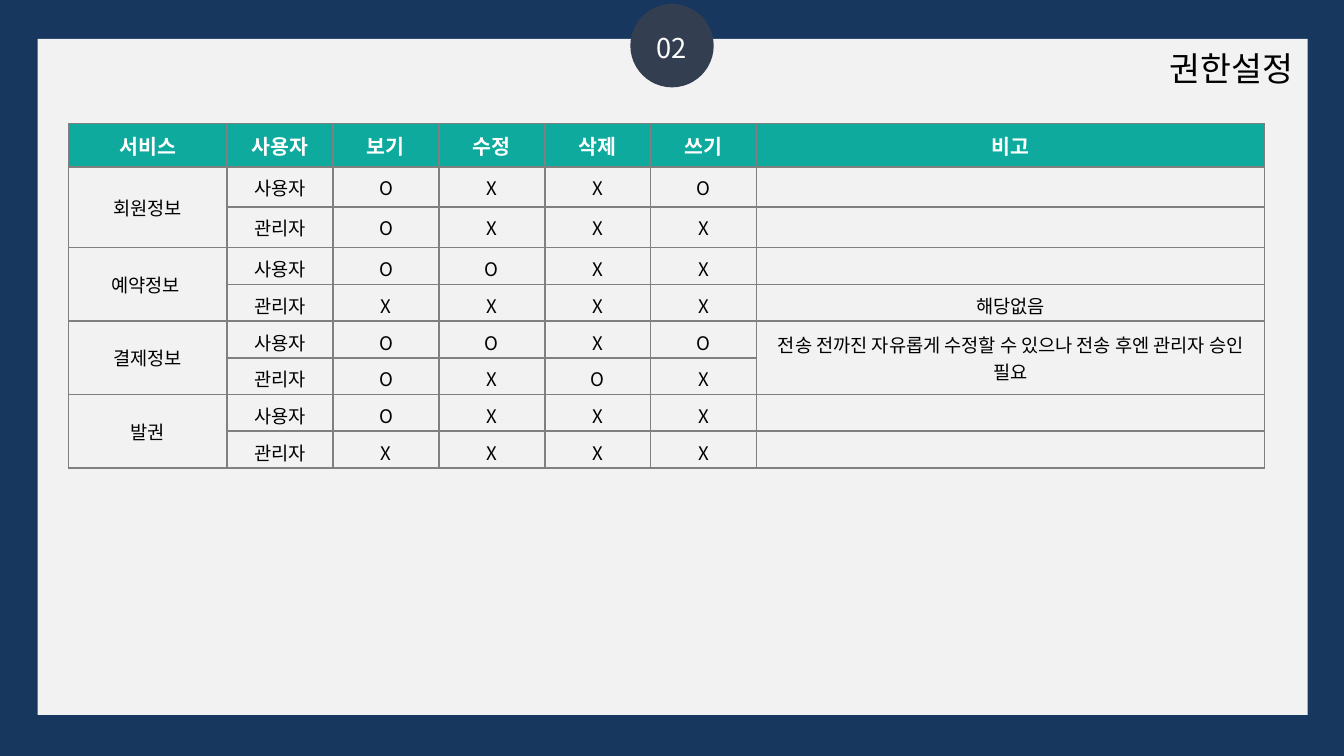
import pptx
import pptx.util
import pptx.dml.color
import pptx.enum.shapes
import pptx.enum.text
import pptx.oxml.ns
from lxml import etree

Inches, Pt = pptx.util.Inches, pptx.util.Pt
RGB = pptx.dml.color.RGBColor.from_string
ALIGN, ANCHOR = pptx.enum.text.PP_ALIGN, pptx.enum.text.MSO_ANCHOR
SHAPE = pptx.enum.shapes.MSO_SHAPE
qn = pptx.oxml.ns.qn

THEME = {
    "font": "Noto Sans CJK KR",
    "navy": "17375E", "panel": "F2F2F2", "badge": "333F50",
    "teal": "0EAA9D", "grid": "808080", "white": "FFFFFF", "black": "000000",
    "title": 18, "number": 14.6, "header": 11, "body": 10,
}


def style_text(tf, size, color, align, bold=False):
    """Format every paragraph, including the height of empty ones."""
    for p in tf.paragraphs:
        p.alignment = align
        for r in p.runs:
            r.font.name = THEME["font"]
            r.font.size = Pt(THEME[size])
            r.font.bold = bold
            r.font.color.rgb = RGB(THEME[color])
            ea = etree.SubElement(r.font._element, qn("a:ea"))
            ea.set("typeface", THEME["font"])
        if not p.runs:
            end = etree.SubElement(p._p, qn("a:endParaRPr"))
            end.set("sz", str(THEME[size] * 100))


def add_border(cell):
    """Draw a thin line on all four sides of a cell."""
    tcPr = cell._tc.get_or_add_tcPr()
    for i, side in enumerate(("a:lnL", "a:lnR", "a:lnT", "a:lnB")):
        ln = etree.Element(qn(side), w=str(Pt(1)))
        fill = etree.SubElement(ln, qn("a:solidFill"))
        etree.SubElement(fill, qn("a:srgbClr"), val=THEME["grid"])
        tcPr.insert(i, ln)


# Widescreen slide, 16:9
prs = pptx.Presentation()
prs.slide_width = Inches(10)
prs.slide_height = prs.slide_width * 9 // 16
s = prs.slides.add_slide(prs.slide_layouts[5])
s.background.fill.solid()
s.background.fill.fore_color.rgb = RGB(THEME["navy"])

# Panel and number badge
for kind, color, box in (
    (SHAPE.RECTANGLE, "panel", (0.28, 0.29, 9.45, 5.03)),
    (SHAPE.OVAL, "badge", (4.69, 0.03, 0.62, 0.62)),
):
    sp = s.shapes.add_shape(kind, *map(Inches, box))
    sp.shadow.inherit = False
    sp.fill.solid()
    sp.fill.fore_color.rgb = RGB(THEME[color])
    sp.line.fill.background()

# Section number
sp = s.shapes.add_textbox(*map(Inches, (4.64, 0.18, 0.72, 0.35)))
tf = sp.text_frame
tf.word_wrap = True
tf.text = "02"
style_text(tf, "number", "white", ALIGN.CENTER)

# Title, brought in front of the panel
title = s.shapes.title
title.left, title.top, title.width, title.height = map(Inches, (7.52, 0.31, 2.2, 0.61))
title.element.getparent().append(title.element)
tf = title.text_frame
tf.text = "권한설정"
tf.auto_size = pptx.enum.text.MSO_AUTO_SIZE.NONE
tf.vertical_anchor = ANCHOR.TOP
style_text(tf, "title", "black", ALIGN.RIGHT)

# Permissions: service, then view / edit / delete / write and note per role
header = ["서비스", "사용자", "보기", "수정", "삭제", "쓰기", "비고"]
roles = ("사용자", "관리자")
note = "전송 전까진 자유롭게 수정할 수 있으나 전송 후엔 관리자 승인 필요"
services = [
    ("회원정보", ("OXXO", ""), ("OXXX", "")),
    ("예약정보 ", ("OOXX", ""), ("XXXX", "해당없음")),
    ("결제정보", ("OOXO", note), ("OXOX", "")),
    ("발권", ("OXXX", ""), ("XXXX", "")),
]
rows = [header]
for service, *rights in services:
    for i, (role, (marks, remark)) in enumerate(zip(roles, rights)):
        rows.append([service if i == 0 else "", role, *marks, remark])

# Table grid: equal columns and rows share what the fixed ones leave
width, height = 8.9, 2.56
service_w, note_w, header_h, tall_h = 1.18, 3.78, 0.32, 0.3
col_widths = [service_w] + [(width - service_w - note_w) / 5] * 5 + [note_w]
row_heights = [header_h] + [tall_h] * 2 + [(height - header_h - 2 * tall_h) / 6] * 6
frame = s.shapes.add_table(len(rows), len(header), Inches(0.51), Inches(0.92),
                           Inches(width), Inches(height))
table = frame.table
table.horz_banding = False
for col, w in zip(table.columns, col_widths):
    col.width = Inches(w)
for row, h in zip(table.rows, row_heights):
    row.height = Inches(h)

# Table cells
for i, row in enumerate(rows):
    for j, text in enumerate(row):
        cell = table.cell(i, j)
        cell.text_frame.text = text
        if i == 0:
            cell.fill.solid()
            cell.fill.fore_color.rgb = RGB(THEME["teal"])
            style_text(cell.text_frame, "header", "white", ALIGN.CENTER, bold=True)
        else:
            cell.fill.background()
            cell.vertical_anchor = ANCHOR.MIDDLE
            low_row = i > 2 and j > 0 and text != note
            cell.margin_top = Inches(0.05 if low_row else 0.03)
            cell.margin_bottom = Inches(0.01 if low_row else 0.03)
            style_text(cell.text_frame, "body", "black", ALIGN.CENTER)
        add_border(cell)

# Each service spans its two roles; the payment note spans both as well
for i in range(1, len(rows), len(roles)):
    table.cell(i, 0).merge(table.cell(i + 1, 0))
note_row = next(i for i, row in enumerate(rows) if row[-1] == note)
table.cell(note_row, 6).merge(table.cell(note_row + 1, 6))

prs.save("out.pptx")
